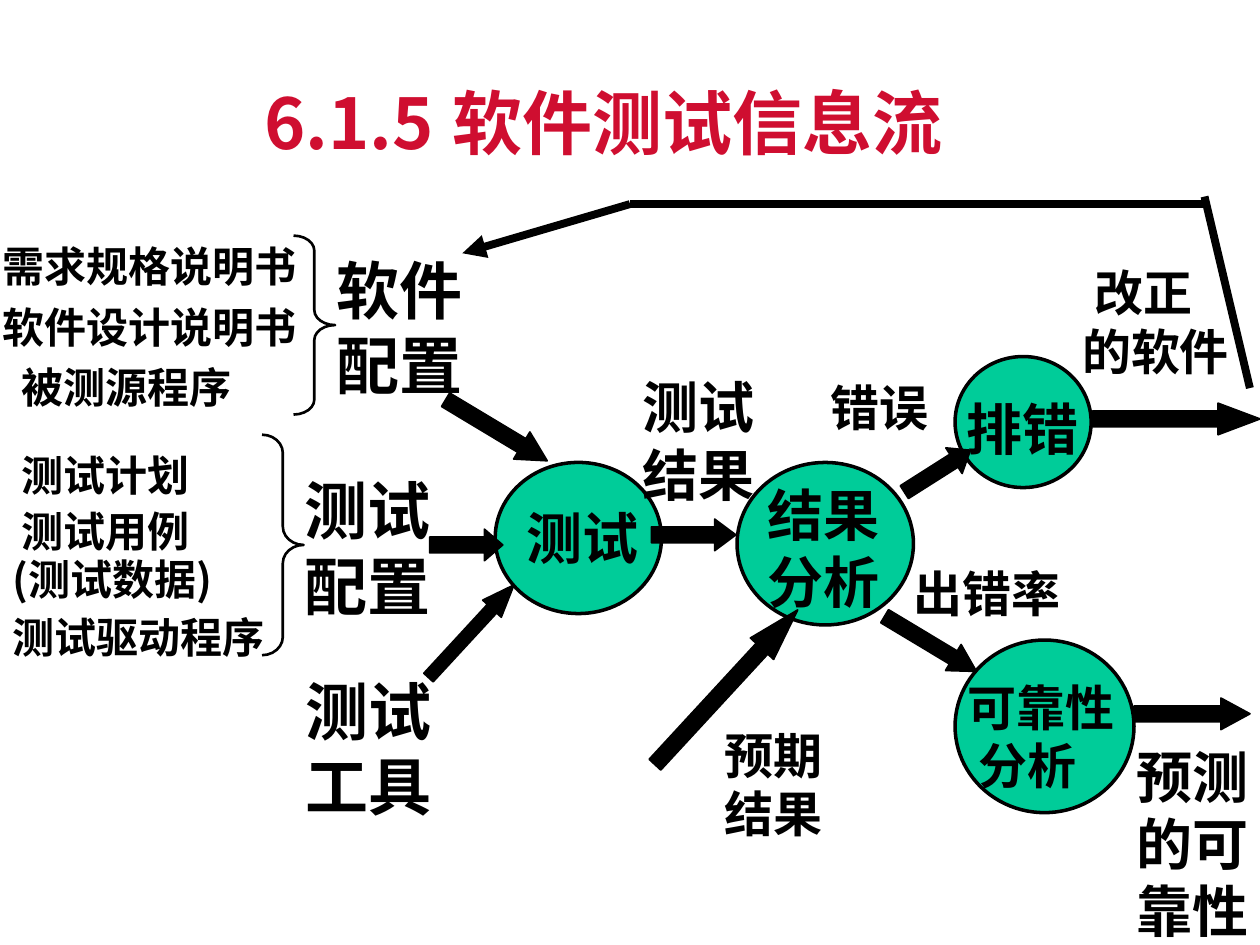
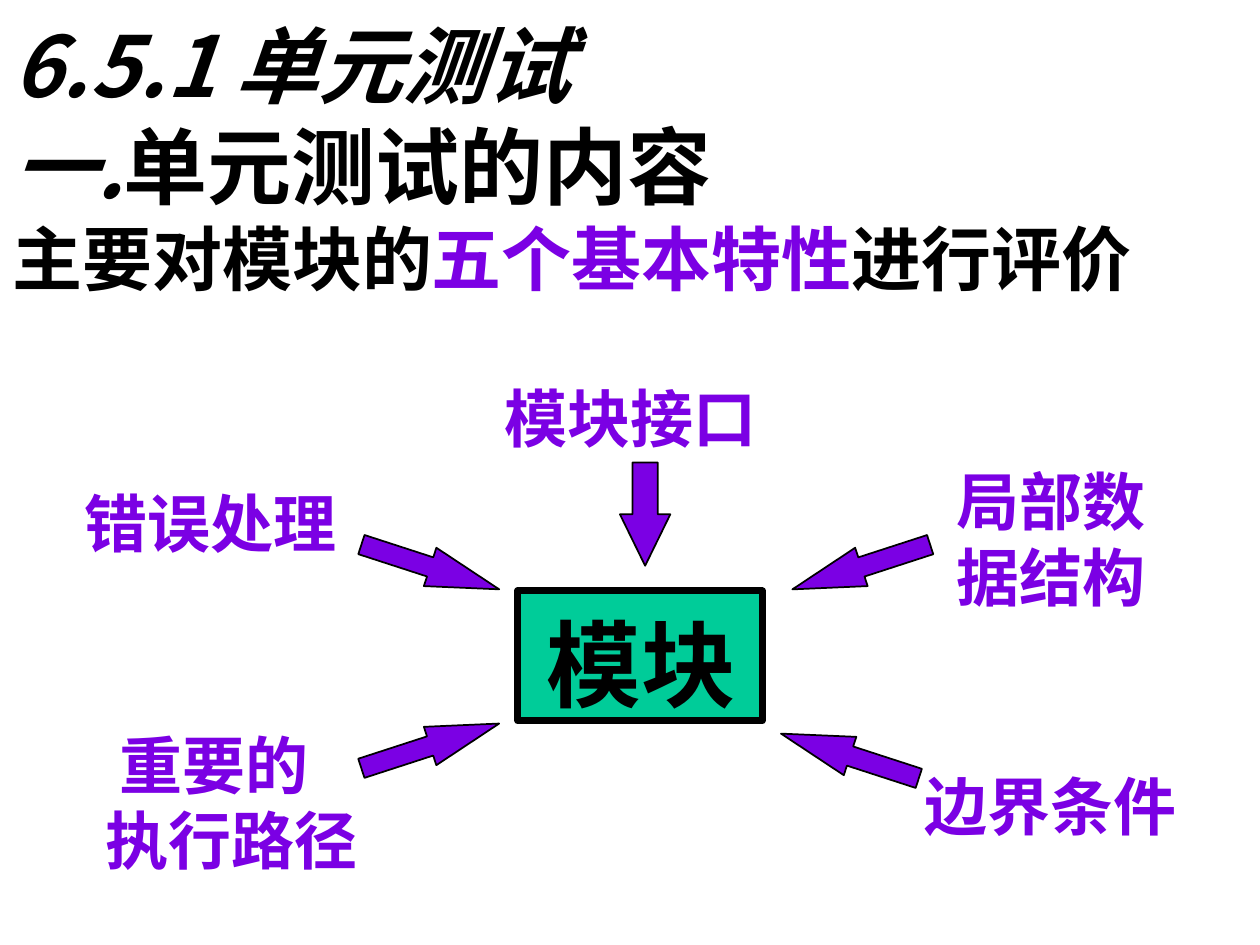
import pptx
import pptx.util
import pptx.dml.color
import pptx.enum.shapes
import pptx.oxml.ns
from lxml import etree

BLACK, RED, PURPLE, GREEN = "000000", "CF0E30", "7B00E4", "00CC99"
FONT, TITLE_FONT = "Noto Sans CJK SC", "Noto Sans CJK JP"
SINGLE = 1.2        # line pitch as a share of the text size
BASELINE_DROP = 0.09  # moves the first baseline, as a share of the text size

deck = pptx.Presentation()
deck.slide_width = pptx.util.Inches(10)
deck.slide_height = pptx.util.Inches(7.5)
COL = deck.slide_width / 100
ROW = deck.slide_height / 75
qn = pptx.oxml.ns.qn
Pt = pptx.util.Pt


def rgb(hex_string):
    return pptx.dml.color.RGBColor.from_string(hex_string)


def write(slide, box, size, lines, colour=BLACK, font=FONT, leading=(), indents=(), before=()):
    """A line is a string or a list of (text, size, colour, italic) runs; box is in columns and rows."""
    left, top, width, height = box
    frame = slide.shapes.add_textbox(
        int(left * COL), int(top * ROW), int(width * COL), int(height * ROW)).text_frame
    frame.word_wrap = True
    frame.margin_top = pptx.util.Inches(0.05) + Pt(size * BASELINE_DROP)
    for index, line in enumerate(lines):
        runs = [(line, size, colour, False)] if isinstance(line, str) else line
        paragraph = frame.add_paragraph() if index else frame.paragraphs[0]
        tallest = max(run[1] for run in runs)
        paragraph.line_spacing = Pt(tallest * SINGLE * (leading[index] if leading else 1))
        if before and before[index]:
            paragraph.space_before = Pt(before[index])
        if indents and indents[index]:
            paragraph._p.get_or_add_pPr().set("marL", str(int(indents[index] * COL)))
        for text, run_size, run_colour, italic in runs:
            run = paragraph.add_run()
            run.text = text
            run.font.size = Pt(run_size)
            run.font.bold = True
            run.font.italic = italic
            run.font.color.rgb = rgb(run_colour)
            run.font.name = font
            etree.SubElement(run._r.get_or_add_rPr(), qn("a:ea")).set("typeface", font)


flow, unit = [deck.slides.add_slide(deck.slide_layouts[6]) for _ in range(2)]

# Shapes of both slides: box, rotation, adjustments, fill, line width
KIND = pptx.enum.shapes.MSO_SHAPE
process_boxes = [(39.3, 36.7, 13.2, 12), (58.5, 36.7, 14, 12.9),
                 (75.8, 28.3, 10.8, 10.4), (75.8, 50.8, 14.2, 13.7)]
brace_boxes = [((23.3, 18.7, 3.3, 14.2), 0.36), ((20.8, 34.5, 3.3, 17.5), 0.44)]
flow_arrows = [  # box, rotation, head length
    ((34.1, 42, 5.8, 2.5), 0, 0.58),
    ((34.7, 32.9, 9.4, 2.5), 31, 0.94),
    ((32.4, 49.1, 10, 2), 312.7, 1.28),
    ((86.7, 32, 13.3, 2.5), 0, 1.33),
    ((71.3, 36.2, 6.2, 2.4), 327.6, 0.64),
    ((69.6, 49.9, 8.5, 2.4), 31, 0.89),
    ((49.3, 53.3, 16.7, 2.5), 312.7, 1.67),
    ((51.7, 41.2, 6.7, 2.5), 0, 0.67),
    ((90, 55.4, 9.2, 2.5), 0, 0.92),
]
aspect_arrows = [
    ((28.4, 43.4, 11.5, 3.2), 18, 1.8),
    ((47.1, 38.8, 8.2, 4), 90, 1.02),
    ((62.6, 43.4, 11.5, 3.2), 162, 1.8),
    ((28.4, 57.6, 11.5, 3.2), 342, 1.8),
    ((61.7, 58.4, 11.5, 3.2), 198, 1.8),
]
parts = [(flow, KIND.OVAL, box, 0, [], GREEN, 2) for box in process_boxes]
parts += [(flow, KIND.RIGHT_BRACE, box, 0, [curl, 0.5], None, 1.5) for box, curl in brace_boxes]
parts += [(flow, KIND.RIGHT_ARROW, box, turn, [0.5, head], BLACK, 1)
          for box, turn, head in flow_arrows]
parts += [(unit, KIND.RECTANGLE, (41.1, 46.9, 19.4, 10.3), 0, [], GREEN, 4)]
parts += [(unit, KIND.RIGHT_ARROW, box, turn, [0.5, head], PURPLE, 1)
          for box, turn, head in aspect_arrows]

for slide, kind, (left, top, width, height), turn, adjustments, fill, line_width in parts:
    part = slide.shapes.add_shape(
        kind, int(left * COL), int(top * ROW), int(width * COL), int(height * ROW))
    part.shadow.inherit = False
    part.rotation = turn
    for index, value in enumerate(adjustments):
        part.adjustments[index] = value
    if fill:
        part.fill.solid()
        part.fill.fore_color.rgb = rgb(fill)
    else:
        part.fill.background()
    part.line.color.rgb = rgb(BLACK)
    part.line.width = Pt(line_width)

# Slide 1: feedback line from debugging back to the software configuration
for x1, y1, x2, y2, has_head in [(99.2, 30.8, 95.6, 15.6, False),
                                 (50, 16.2, 95.8, 16.2, False),
                                 (50, 16.2, 36.7, 20.1, True)]:
    feedback = flow.shapes.add_connector(
        pptx.enum.shapes.MSO_CONNECTOR.STRAIGHT,
        int(x1 * COL), int(y1 * ROW), int(x2 * COL), int(y2 * ROW))
    feedback.line.color.rgb = rgb(BLACK)
    feedback.line.width = Pt(4.5)
    if has_head:
        etree.SubElement(feedback.line._get_or_add_ln(), qn("a:tailEnd")).set("type", "triangle")
    etree.SubElement(feedback._element.spPr, qn("a:effectLst"))

# Slide 1: title
write(flow, (20, 4.2, 61.7, 9), 40,
      [[("6.1.5", 40, RED, False), (" ", 48, RED, False), ("软件测试信息流", 40, RED, False)]],
      font=TITLE_FONT)

# Slide 1: inputs, processes and data on the arrows
for box, size, lines in [
    ((25.7, 19, 14.3, 13), 36, ["软件", "配置"]),
    ((23.2, 36.5, 13.5, 13), 36, ["测试", "配置"]),
    ((23.3, 52.4, 17.5, 13), 36, ["测试", "工具"]),
    ((40.8, 39.1, 16.8, 6.3), 32, ["测试"]),
    ((59.9, 37.2, 16.8, 11.6), 32, ["结果", "分析"]),
    ((75.7, 30.4, 16.8, 6.3), 32, ["排错"]),
    ((50, 28.7, 14.3, 11.6), 32, ["测试", "结果"]),
    ((89.2, 58, 12.5, 17), 32, ["预测", "的可", "靠性"]),
    ((64.9, 29.1, 14.3, 5.6), 28, ["错误"]),
    ((56.5, 56.7, 15.1, 10.3), 28, ["预期", "结果"]),
    ((71.5, 43.9, 19.3, 5.6), 28, ["出错率"]),
]:
    write(flow, box, size, lines)
write(flow, (75.8, 52.9, 21.8, 10.3), 28, ["可靠性", "分析"], indents=(0, 0.9))
write(flow, (84.9, 20, 16.8, 10.3), 28, ["改正", "的软件"], indents=(1, 0))

# Slide 1: contents of the two configurations
write(flow, (-0.8, 17.5, 26.7, 15.4), 24, ["需求规格说明书", "软件设计说明书", "被测源程序"],
      leading=(1.2, 1.2, 1.2), indents=(0, 0, 1.5))
write(flow, (0, 34.5, 23.3, 18.3), 24, ["测试计划", "测试用例", "(测试数据)", "测试驱动程序"],
      leading=(1.1, 1.1, 0.95, 0.95), indents=(0.75, 0.75, 0, 0), before=(0, 0, 0, 6))

# Slide 2: headings
write(unit, (0, 0, 99.2, 25.8), 48, [
    [("6.5.1 单元测试", 48, BLACK, True)],
    [("一.", 48, BLACK, True), ("单元测试的内容", 48, BLACK, False)],
    [("主要对模块的", 40, BLACK, False), ("五个基本特性", 40, PURPLE, False),
     ("进行评价", 40, BLACK, False)],
])

# Slide 2: the module and the five aspects around it
write(unit, (42.4, 46.9, 18, 10), 54, ["模块"])
for box, lines, indents in [
    ((5.7, 37.5, 23, 7), ["错误处理"], ()),
    ((39.1, 29.2, 23, 7), ["模块接口"], ()),
    ((74.9, 35.8, 18, 13), ["局部数", "据结构"], ()),
    ((7.4, 56.7, 23, 13), ["重要的", "执行路径"], (1.1, 0)),
    ((72.4, 60, 23, 7), ["边界条件"], ()),
]:
    write(unit, box, 36, lines, PURPLE, indents=indents)

deck.save("out.pptx")
